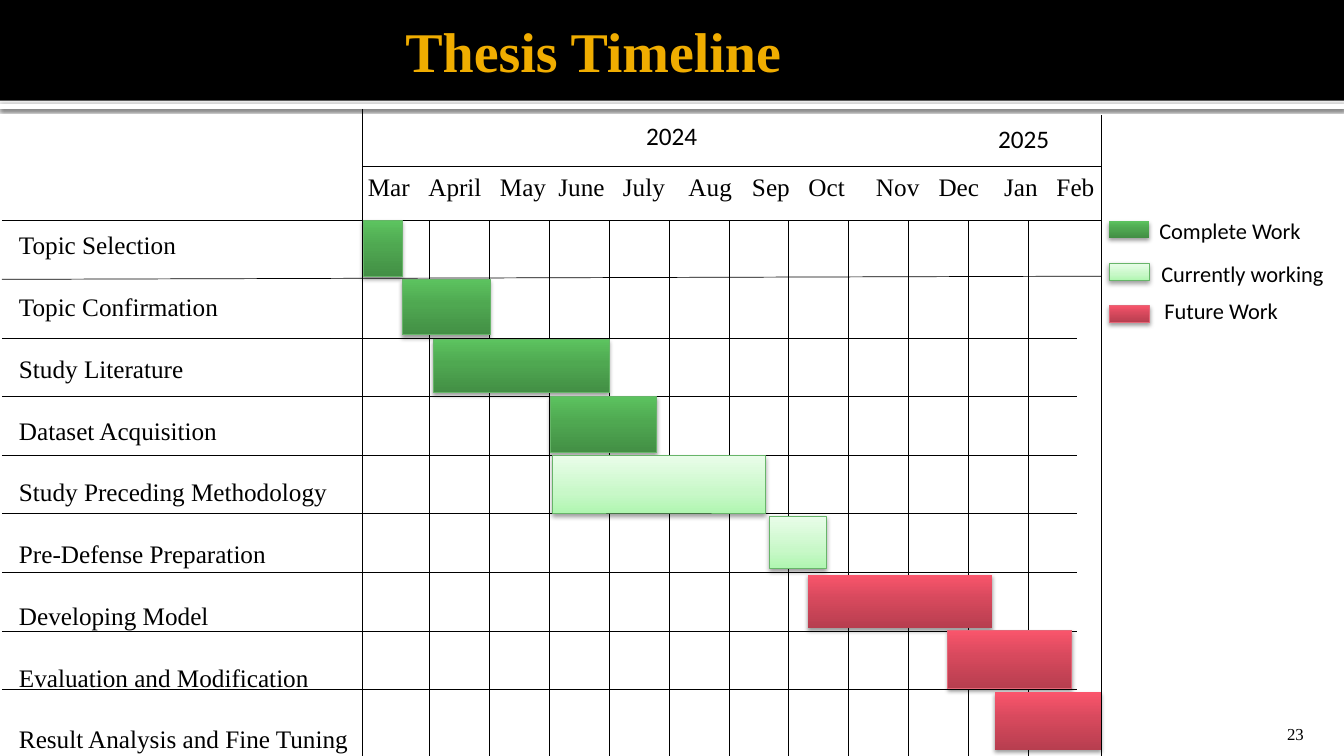
from copy import deepcopy
from dataclasses import dataclass

from lxml.etree import SubElement
from pptx import Presentation
from pptx.dml.color import RGBColor as RGB
from pptx.enum.shapes import MSO_CONNECTOR as LINK, MSO_SHAPE as SHAPE
from pptx.enum.text import MSO_ANCHOR as ANCHOR, MSO_AUTO_SIZE as AUTO, PP_ALIGN as ALIGN
from pptx.oxml.ns import qn
from pptx.util import Inches, Pt

BLACK = RGB(0x00, 0x00, 0x00)
WHITE = RGB(0xFF, 0xFF, 0xFF)
GOLD = RGB(0xF0, 0xAD, 0x00)
LEAF = RGB(0x67, 0xB5, 0x69)
ROSE = RGB(0xE4, 0x67, 0x78)
SERIF, SANS = "Times New Roman", "Calibri"

LEFT, RIGHT, SHORT = 3.59, 10.92, 10.68
TOP, FOOT = 2.19, 7.5
ROW, COL = 0.58, 0.594


@dataclass(frozen=True)
class Style:
    stops: tuple[tuple[float, RGB], ...]
    edge: RGB
    blur: float


@dataclass(frozen=True)
class Bar:
    left: float
    top: float
    width: float
    height: float
    style: Style
    edged: bool = True


@dataclass(frozen=True)
class Label:
    text: str
    left: float
    top: float
    width: float
    height: float
    size: int = 18
    font: str = SANS


DONE = Style(((0, RGB(0x43, 0x8F, 0x45)), (0.55, RGB(0x4F, 0xA8, 0x51)),
              (1, RGB(0x5C, 0xC3, 0x5F))), LEAF, 3.1)
NOW = Style(((0, RGB(0xB0, 0xF6, 0xB1)), (0.35, RGB(0xC8, 0xF8, 0xC8)),
             (1, RGB(0xE9, 0xFD, 0xE9))), LEAF, 3.5)
NEXT = Style(((0, RGB(0xB7, 0x3E, 0x4F)), (0.55, RGB(0xD7, 0x49, 0x5D)),
              (1, RGB(0xFA, 0x55, 0x6C))), ROSE, 3.1)

BARS = (
    Bar(3.6, 2.19, 0.39, 0.55, DONE),
    Bar(3.99, 2.77, 0.87, 0.55, DONE),
    Bar(4.3, 3.37, 1.74, 0.52, DONE),
    Bar(5.46, 3.93, 1.05, 0.56, DONE),
    Bar(5.48, 4.52, 2.11, 0.57, NOW),
    Bar(7.63, 5.12, 0.57, 0.52, NOW),
    Bar(8.01, 5.7, 1.83, 0.53, NEXT, False),
    Bar(9.4, 6.25, 1.23, 0.58, NEXT),
    Bar(9.87, 6.87, 1.05, 0.57, NEXT, False),
    Bar(11, 2.19, 0.4, 0.17, DONE, False),
    Bar(11, 2.61, 0.4, 0.17, NOW),
    Bar(11, 3.03, 0.4, 0.17, NEXT),
)
LABELS = (
    Label("2024", 6.31, 1.14, 0.92, 0.4),
    Label("2025", 9.8, 1.17, 0.92, 0.4),
    Label("Complete Work", 11.4, 2.11, 1.9, 0.37, 16),
    Label("Currently working", 11.42, 2.53, 1.9, 0.37, 16),
    Label("Future Work", 11.45, 2.9, 1.34, 0.37, 16),
)
MONTHS = (("Mar", 3.65), ("April", 4.25), ("May", 4.96), ("June", 5.54),
          ("July", 6.18), ("Aug", 6.83), ("Sep", 7.46), ("Oct", 8.02),
          ("Nov", 8.69), ("Dec", 9.31), ("Jan", 9.96), ("Feb", 10.48))
TASKS = ("Topic Selection", "Topic Confirmation", "Study Literature",
         "Dataset Acquisition", "Study Preceding Methodology",
         "Pre-Defense Preparation", "Developing Model",
         "Evaluation and Modification", "Result Analysis and Fine Tuning")


def add_rect(shapes, left: float, top: float, width: float, height: float):
    rect = shapes.add_shape(SHAPE.RECTANGLE, Inches(left), Inches(top),
                            Inches(width), Inches(height))
    rect.shadow.inherit = False
    rect.line.fill.background()
    return rect


def add_band(shapes, top: float, height: float, color: RGB):
    band = add_rect(shapes, 0, top, 13.33, height)
    band.fill.solid()
    band.fill.fore_color.rgb = color
    return band


def add_shade(rect, blur: float, dist: float, alpha: int) -> None:
    effect = rect._element.spPr.find(qn("a:effectLst"))
    shade = SubElement(effect, qn("a:outerShdw"), blurRad=str(Pt(blur)),
                       dist=str(Pt(dist)), dir="5400000", rotWithShape="0")
    tint = SubElement(shade, qn("a:srgbClr"), val="000000")
    SubElement(tint, qn("a:alpha"), val=str(alpha * 1000))


def add_bar(shapes, bar: Bar) -> None:
    rect = add_rect(shapes, bar.left, bar.top, bar.width, bar.height)
    fill = rect.fill
    fill.gradient()
    fill.gradient_angle = 90
    stops = rect._element.spPr.find(qn("a:gradFill")).find(qn("a:gsLst"))
    stops.append(deepcopy(stops[0]))
    for stop, (place, color) in zip(fill.gradient_stops, bar.style.stops):
        stop.position = place
        stop.color.rgb = color
    if bar.edged:
        rect.line.color.rgb = bar.style.edge
        rect.line.width = Pt(0.5)
    add_shade(rect, bar.style.blur, 2, 38)


def add_line(shapes, left: float, top: float, right: float, foot: float) -> None:
    line = shapes.add_connector(LINK.STRAIGHT, Inches(left), Inches(top),
                                Inches(right), Inches(foot))
    line.line.color.rgb = BLACK
    line.line.width = Pt(0.5)
    SubElement(line._element.spPr, qn("a:effectLst"))


def add_label(shapes, label: Label):
    box = shapes.add_textbox(Inches(label.left), Inches(label.top),
                             Inches(label.width), Inches(label.height))
    frame = box.text_frame
    frame.word_wrap = True
    frame.text = label.text
    for para in frame.paragraphs:
        para.font.name = label.font
        para.font.size = Pt(label.size)
        para.font.color.rgb = BLACK
    return frame


def add_title(slide) -> None:
    title = slide.shapes.title
    title.left, title.top = Inches(1.42), Inches(0.06)
    title.width, title.height = Inches(11.9), Inches(0.87)
    frame = title.text_frame
    frame.text = "Thesis Timeline"
    frame.auto_size = AUTO.NONE
    frame.vertical_anchor = ANCHOR.MIDDLE
    frame.margin_right = Inches(0.05)
    para = frame.paragraphs[0]
    para.alignment = ALIGN.LEFT
    para._p.get_or_add_pPr().set("marL", str(Inches(2.5)))
    para.font.name = SERIF
    para.font.size = Pt(40)
    para.font.bold = True
    para.font.color.rgb = GOLD
    slide.shapes._spTree.append(title._element)


def add_months(shapes) -> None:
    text = "".join(f"\t{name}" for name, _ in MONTHS)
    frame = add_label(shapes, Label(text, 3.33, 1.65, 8.18, 0.42, font=SERIF))
    props = frame.paragraphs[0]._p.get_or_add_pPr()
    tabs = props.makeelement(qn("a:tabLst"))
    props.insert(0, tabs)
    for _, place in MONTHS:
        SubElement(tabs, qn("a:tab"), pos=str(Inches(place - 3.43)), algn="l")


def add_tasks(shapes) -> None:
    frame = add_label(shapes, Label("\n".join(TASKS), 0.09, 2.23, 3.5, 5.27, font=SERIF))
    for para in frame.paragraphs:
        para.space_after = Pt(22.5)


def add_grid(shapes) -> None:
    for row in range(9):
        top = TOP + row * 0.5813
        right = RIGHT if row < 2 else SHORT
        add_line(shapes, 0.02, top, right, 2.74 if row == 1 else top)
    for left in (LEFT, *(4.26 + col * COL for col in range(11)), RIGHT):
        add_line(shapes, left, TOP, left, FOOT)
    add_line(shapes, LEFT, 1.08, LEFT, 2.23)
    add_line(shapes, RIGHT, 1.14, RIGHT, 2.23)
    add_line(shapes, LEFT, 1.65, RIGHT, 1.65)


def main() -> None:
    deck = Presentation()
    deck.slide_width, deck.slide_height = Inches(13.33), Inches(7.5)
    slide = deck.slides.add_slide(deck.slide_layouts[5])
    shapes = slide.shapes
    add_shade(add_band(shapes, 1.03, 0.05, WHITE), 2.5, 0.8, 60)
    add_band(shapes, 0, 1, BLACK)
    add_title(slide)
    page = add_label(shapes, Label("23", 11.96, 7.08, 1.07, 0.3, 12, SERIF))
    page.vertical_anchor = ANCHOR.BOTTOM
    page.margin_bottom = 0
    page.paragraphs[0].alignment = ALIGN.RIGHT
    add_months(shapes)
    add_tasks(shapes)
    add_grid(shapes)
    for bar in BARS:
        add_bar(shapes, bar)
    for label in LABELS:
        add_label(shapes, label)
    deck.save("out.pptx")


if __name__ == "__main__":
    main()
